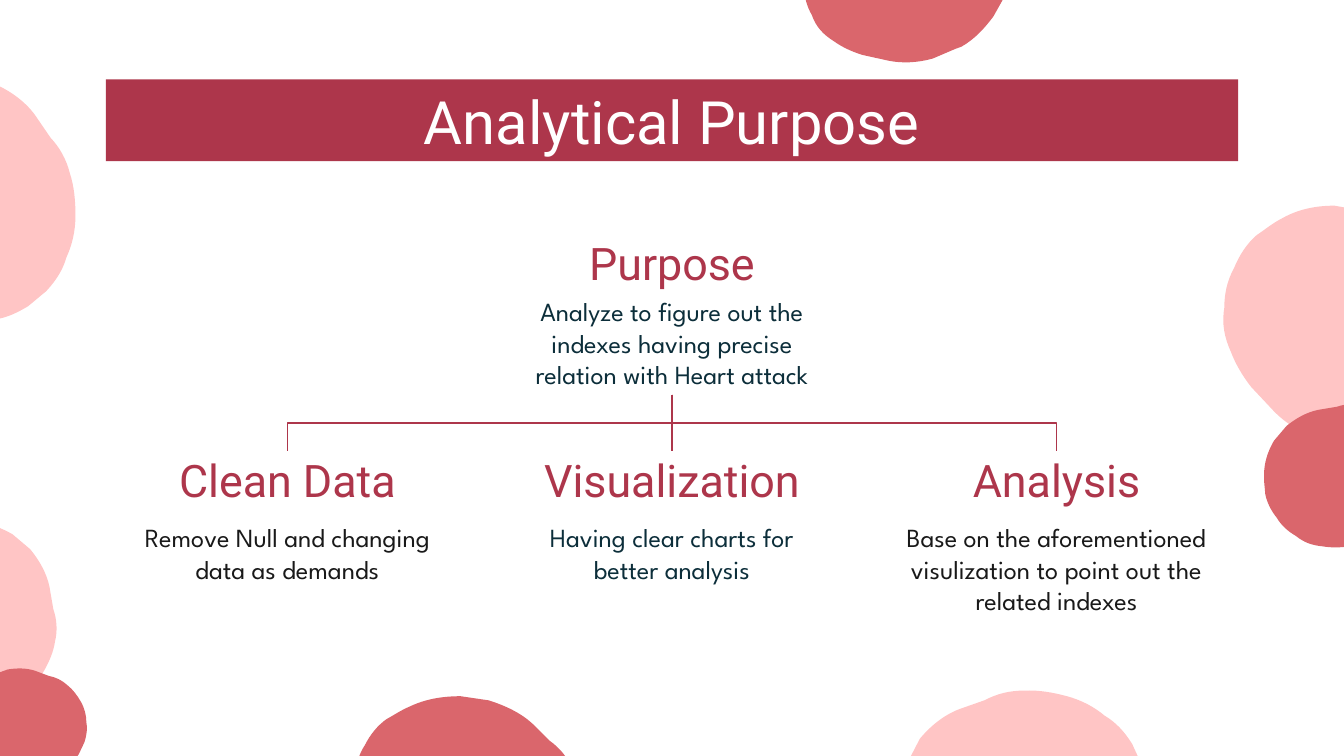
import dataclasses

import pptx
import pptx.dml.color
import pptx.enum.shapes
import pptx.enum.text
import pptx.oxml
import pptx.oxml.ns
import pptx.util

Pt = pptx.util.Pt
qn = pptx.oxml.ns.qn
Anchor = pptx.enum.text.MSO_ANCHOR


@dataclasses.dataclass(frozen=True)
class Theme:
    """Colours, fonts and type sizes of the slide."""
    crimson: str = "AD364B"
    coral: str = "DA666C"
    blush: str = "FFC5C5"
    white: str = "FFFFFF"
    navy: str = "0C2E3A"
    black: str = "191919"
    heading_font: str = "Roboto"
    body_font: str = "League Spartan"
    title_size: int = 32
    heading_size: int = 24
    body_size: int = 14


THEME = Theme()
SLIDE_WIDTH, SLIDE_HEIGHT = 720, 405
CENTER = SLIDE_WIDTH / 2
COLUMN_STEP, COLUMN_WIDTH = 206, 181.4
HEADING_HEIGHT = 36.7

BLOB_START = (84, 0)
BLOB_SEGMENTS = [
    [(106, 4)],
    [(119, 9), (131, 16), (140, 26)],
    [(154, 43)],
    [(162, 50), (168, 59), (171, 69)],
    [(175, 79), (176, 90), (176, 100)],
    [(176, 112), (173, 122), (168, 131)],
    [(165, 140), (159, 148), (150, 156)],
    [(144, 160), (140, 163), (134, 167)],
    [(122, 173), (111, 177), (98, 177)],
    [(96, 177), (95, 176), (93, 176)],
    [(72, 173)],
    [(59, 169), (47, 162), (37, 151)],
    [(22, 135)],
    [(15, 126), (10, 117), (7, 109)],
    [(2, 98), (0, 88), (2, 76)],
    [(2, 66), (4, 56), (9, 47)],
    [(13, 37), (19, 28), (26, 22)],
    [(32, 18), (38, 13), (44, 10)],
    [(56, 3), (69, 0), (84, 0)],
]
BLOBS = [
    (654.5, 110.2, 126.7, 127.4, 0, THEME.blush),
    (678.2, 213.8, 82.1, 82.8, 300, THEME.coral),
    (-66.2, 42.5, 106.6, 128.9, 0, THEME.blush),
    (-64.8, 280.8, 97.9, 97.9, 30, THEME.blush),
    (-18, 356.4, 63.4, 63.4, 330, THEME.coral),
    (429.8, -61.2, 111.6, 95.8, 330, THEME.coral),
    (189.4, 373, 120.2, 98.6, 0, THEME.coral),
    (496.1, 357.8, 106.6, 128.9, 285, THEME.blush),
]
BRANCHES = [
    ("Clean Data", "Remove Null and changing data as demands", THEME.black),
    ("Visualization", "Having clear charts for better analysis", THEME.navy),
    ("Analysis", "Base on the aforementioned visulization to point out the related indexes",
     THEME.black),
]


def rgb(code):
    """Return the colour for a hex code."""
    return pptx.dml.color.RGBColor.from_string(code)


def paint(shape, color):
    """Give a shape a plain fill with no line or shadow."""
    shape.shadow.inherit = False
    shape.fill.solid()
    shape.fill.fore_color.rgb = rgb(color)
    shape.line.fill.background()


def place(shape, left, top, width, height):
    """Set the frame of a shape in points."""
    shape.left, shape.top = Pt(left), Pt(top)
    shape.width, shape.height = Pt(width), Pt(height)


def add_blob(page, left, top, width, height, rotation, color):
    """Draw the curved blob outline, fitted to a frame and rotated."""
    builder = page.shapes.build_freeform(*BLOB_START)
    builder.add_line_segments([point for segment in BLOB_SEGMENTS for point in segment])
    blob = builder.convert_to_shape()
    lines = iter(list(blob._element.spPr.iter(qn("a:lnTo"))))
    for segment in BLOB_SEGMENTS:
        steps = [next(lines) for _ in segment]
        if len(steps) == 3:
            curve = pptx.oxml.parse_xml(
                f'<a:cubicBezTo {pptx.oxml.ns.nsdecls("a")}/>')
            steps[0].addprevious(curve)
            for step in steps:
                curve.append(step[0])
                step.getparent().remove(step)
    place(blob, left, top, width, height)
    blob.rotation = rotation
    paint(blob, color)


def write(shape, text, font, size, color, anchor):
    """Fill a shape with one centred paragraph."""
    frame = shape.text_frame
    frame.word_wrap = True
    frame.vertical_anchor = anchor
    frame.margin_left = frame.margin_right = Pt(7.2)
    frame.margin_top = frame.margin_bottom = Pt(7.2)
    para = frame.paragraphs[0]
    para.alignment = pptx.enum.text.PP_ALIGN.CENTER
    span = para.add_run()
    span.text = text
    span.font.name = font
    span.font.size = Pt(size)
    span.font.color.rgb = rgb(color)


def add_title(page, text):
    """Draw the title banner."""
    width = 606.6
    banner = page.shapes.add_shape(
        pptx.enum.shapes.MSO_SHAPE.RECTANGLE,
        Pt(CENTER - width / 2), Pt(42.5), Pt(width), Pt(43.9))
    paint(banner, THEME.crimson)
    write(banner, text, THEME.heading_font, THEME.title_size, THEME.white, Anchor.MIDDLE)


def add_text(page, center, top, height, *style):
    """Add a column-wide text box centred on a position."""
    box = page.shapes.add_textbox(
        Pt(center - COLUMN_WIDTH / 2), Pt(top), Pt(COLUMN_WIDTH), Pt(height))
    write(box, *style)
    return box


def add_heading(page, center, top, text):
    """Add a crimson heading."""
    return add_text(page, center, top, HEADING_HEIGHT, text, THEME.heading_font,
                    THEME.heading_size, THEME.crimson, Anchor.BOTTOM)


def add_body(page, center, top, height, text, color):
    """Add a body text below a heading."""
    return add_text(page, center, top, height, text, THEME.body_font,
                    THEME.body_size, color, Anchor.TOP)


def add_branch_line(page, parent, child):
    """Join a parent's bottom to a child's top with a vertical elbow."""
    elbow = page.shapes.add_connector(pptx.enum.shapes.MSO_CONNECTOR.ELBOW, 0, 0, 0, 0)
    elbow.begin_connect(parent, 2)
    elbow.end_connect(child, 0)
    start_x = (parent.left + parent.width / 2) / Pt(1)
    end_x = (child.left + child.width / 2) / Pt(1)
    start_y = (parent.top + parent.height) / Pt(1)
    drop, reach = child.top / Pt(1) - start_y, abs(end_x - start_x)
    place(elbow, (start_x + end_x - drop) / 2, start_y + (drop - reach) / 2, drop, reach)
    leftward = end_x < start_x
    frame = elbow._element.spPr.find(qn("a:xfrm"))
    frame.set("rot", str((90 if leftward else 270) * 60000))
    frame.set("flipH", "0" if leftward else "1")
    frame.set("flipV", "0")
    elbow.line.color.rgb = rgb(THEME.crimson)
    elbow.line.width = Pt(0.75)
    elbow._element.spPr.append(
        pptx.oxml.parse_xml(f'<a:effectLst {pptx.oxml.ns.nsdecls("a")}/>'))


def main():
    """Build and save the slide."""
    deck = pptx.Presentation()
    deck.slide_width, deck.slide_height = Pt(SLIDE_WIDTH), Pt(SLIDE_HEIGHT)
    page = deck.slides.add_slide(deck.slide_layouts[6])
    for blob in BLOBS:
        add_blob(page, *blob)
    add_title(page, "Analytical Purpose")
    add_heading(page, CENTER, 125.3, "Purpose")
    purpose = add_body(
        page, CENTER, 151.2, 60.2,
        "Analyze to figure out the indexes having precise relation with Heart attack",
        THEME.navy)
    for index, (heading, body, color) in enumerate(BRANCHES):
        center = CENTER + (index - 1) * COLUMN_STEP
        branch = add_heading(page, center, 241.9, heading)
        add_body(page, center, 272.2, 67, body, color)
        add_branch_line(page, purpose, branch)
    deck.save("out.pptx")


if __name__ == "__main__":
    main()
